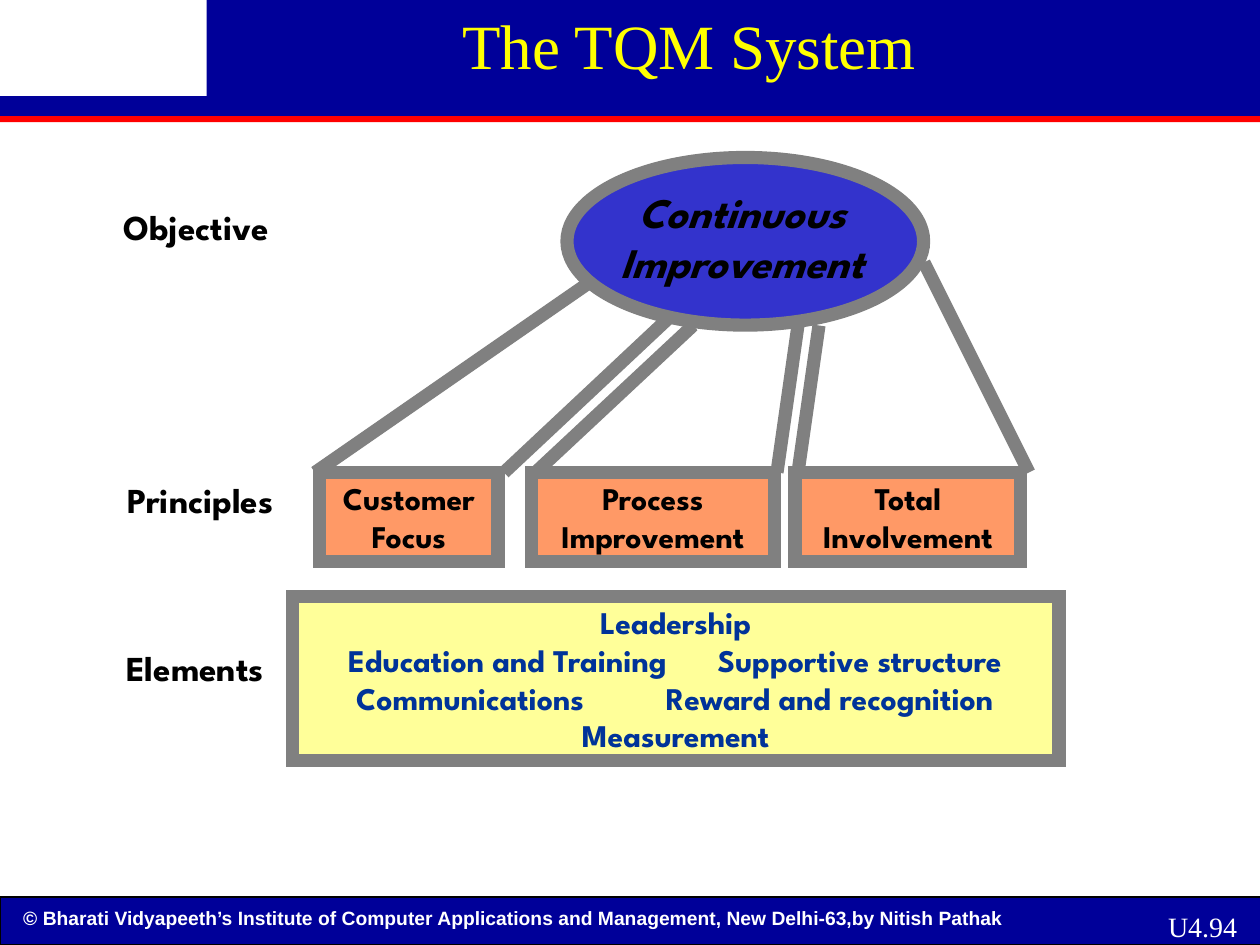
import pptx
import pptx.util
import pptx.dml.color
import pptx.enum.shapes
import pptx.enum.text
import pptx.oxml
import pptx.oxml.ns

Pt = pptx.util.Pt
SHAPE = pptx.enum.shapes.MSO_SHAPE
ALIGN = pptx.enum.text.PP_ALIGN
ANCHOR = pptx.enum.text.MSO_ANCHOR
NS = pptx.oxml.ns.nsdecls("a")

COLORS = {
    "navy": "000099", "red": "FF0000", "white": "FFFFFF", "black": "000000",
    "yellow": "FFFF00", "gray": "808080", "blue": "3333CC",
    "orange": "FF9966", "cream": "FFFF99", "ink": "003399",
}
LABEL = {"name": "League Spartan", "size": Pt(20), "bold": True}
BOX = {**LABEL, "size": Pt(18)}
GOAL = {**LABEL, "size": Pt(24), "italic": True}
TITLE = {"name": "Times New Roman", "size": Pt(36)}
PAGE = {**TITLE, "size": Pt(16)}
CREDIT = {"name": "Arial", "size": Pt(11), "bold": True}


def rgb(key):
    return pptx.dml.color.RGBColor.from_string(COLORS[key])


def add_shape(s, kind, box, fill, line=None, width=7.5):
    sp = s.shapes.add_shape(kind, *map(Pt, box))
    sp.shadow.inherit = False
    sp.fill.solid()
    sp.fill.fore_color.rgb = rgb(fill)
    if line:
        sp.line.color.rgb = rgb(line)
        sp.line.width = Pt(width)
        # Square corners on the border
        ln = sp._element.spPr.find(pptx.oxml.ns.qn("a:ln"))
        ln.append(pptx.oxml.parse_xml('<a:miter %s lim="800000"/>' % NS))
    else:
        sp.line.fill.background()
    return sp


def write(sp, lines, fmt, color, align=ALIGN.CENTER, anchor=ANCHOR.MIDDLE,
          wrap=False, side=7.2):
    tf = sp.text_frame
    settings = {"word_wrap": wrap, "vertical_anchor": anchor,
                "margin_left": Pt(side), "margin_right": Pt(side)}
    for name, value in settings.items():
        setattr(tf, name, value)
    for i, line in enumerate(lines):
        p = tf.add_paragraph() if i else tf.paragraphs[0]
        p.alignment = align
        r = p.add_run()
        r.text = line
        for name, value in fmt.items():
            setattr(r.font, name, value)
        r.font.color.rgb = rgb(color)
    return tf


def add_text(s, box, lines, fmt, color, **layout):
    return write(s.shapes.add_textbox(*map(Pt, box)), lines, fmt, color, **layout)


def add_line(s, start, end):
    c = s.shapes.add_connector(pptx.enum.shapes.MSO_CONNECTOR.STRAIGHT,
                               *map(Pt, start + end))
    c.line.color.rgb = rgb("gray")
    c.line.width = Pt(7.5)
    c._element.spPr.append(pptx.oxml.parse_xml("<a:effectLst %s/>" % NS))


def set_columns(p, indent, stop):
    """Left-align a paragraph in two columns, the second at a tab stop."""
    p.alignment = ALIGN.LEFT
    pPr = p._p.get_or_add_pPr()
    pPr.set("marL", str(Pt(indent)))
    pPr.append(pptx.oxml.parse_xml(
        '<a:tabLst %s><a:tab pos="%d" algn="l"/></a:tabLst>' % (NS, Pt(stop))))


def add_header(s, x, y, w, h):
    notch_w, notch_h, rule = 118, 55, 3.6
    add_shape(s, SHAPE.RECTANGLE, (x, y + h - rule, w, rule), "red")
    add_shape(s, SHAPE.RECTANGLE, (x + notch_w, y, w - notch_w, notch_h), "navy")
    add_shape(s, SHAPE.RECTANGLE, (x, y + notch_h, w, h - rule - notch_h), "navy")
    add_text(s, (x + 257, y, 274.3, 50.4), ["The TQM System"], TITLE, "yellow",
             align=ALIGN.LEFT, anchor=ANCHOR.TOP)


def add_footer(s, x, y, w, h):
    add_shape(s, SHAPE.RECTANGLE, (x, y, w, h), "navy", "black", 0.75)
    add_text(s, (x + 6.2, y + 1.5, 662, 21),
             ["© Bharati Vidyapeeth’s Institute of Computer Applications and "
              "Management, New Delhi-63,by Nitish Pathak"],
             CREDIT, "white", align=ALIGN.LEFT, anchor=ANCHOR.TOP, wrap=True)
    add_text(s, (x + 642, y + 3.6, 72, 26.6), ["U4.94"], PAGE, "white",
             align=ALIGN.RIGHT, anchor=ANCHOR.TOP, wrap=True)


def add_labels(s, x, y, w, h):
    labels = (("Objective", 0, 0), ("Principles", 2.5, 156), ("Elements", -0.5, 252))
    for label, dx, dy in labels:
        add_text(s, (x + dx, y + dy, w, h), [label], LABEL, "black")


def add_principles(s, x, y, h):
    principles = ((0, 102, ("Customer", "Focus")),
                  (121.2, 138.6, ("Process", "Improvement")),
                  (271.7, 129, ("Total", "Involvement")))
    for dx, w, lines in principles:
        sp = add_shape(s, SHAPE.RECTANGLE, (x + dx, y, w, h), "orange", "gray")
        write(sp, lines, BOX, "black")


def add_elements(s, x, y, w, h):
    sp = add_shape(s, SHAPE.RECTANGLE, (x, y, w, h), "cream", "gray")
    tf = write(sp, ["Leadership",
                    "Education and Training\tSupportive structure",
                    "Communications\tReward and recognition",
                    "Measurement"], BOX, "ink", wrap=True, side=28)
    set_columns(tf.paragraphs[1], 4, 211)
    set_columns(tf.paragraphs[2], 8.5, 177)


def add_objective(s, x, y, w, h):
    add_shape(s, SHAPE.OVAL, (x, y, w, h), "blue", "gray")
    # Rays from the oval down to the principles, as offsets from its corner
    foot = 180
    rays = ((-144, 12, 72), (-36, 60, 90), (120, 132, 96),
            (-18, 72, 96), (264, 204, 60), (132, 144, 96))
    for bottom, top, top_y in rays:
        add_line(s, (x + bottom, y + foot), (x + top, y + top_y))
    add_text(s, (x + 15.8, y + 13, 168.5, 64.8), ["Continuous", "Improvement"],
             GOAL, "black")


def main():
    prs = pptx.Presentation()
    prs.slide_width, prs.slide_height = Pt(720), Pt(540)
    s = prs.slides.add_slide(prs.slide_layouts[6])
    add_header(s, 0, 0, 720, 69.8)
    add_footer(s, 0, 512.6, 721.4, 27.4)
    add_principles(s, 182.6, 270, 50.8)
    add_elements(s, 167, 341, 438.2, 93.6)
    add_objective(s, 324, 90, 203.8, 95.8)
    add_labels(s, 57, 113.8, 110, 31.7)
    prs.save("out.pptx")


if __name__ == "__main__":
    main()
